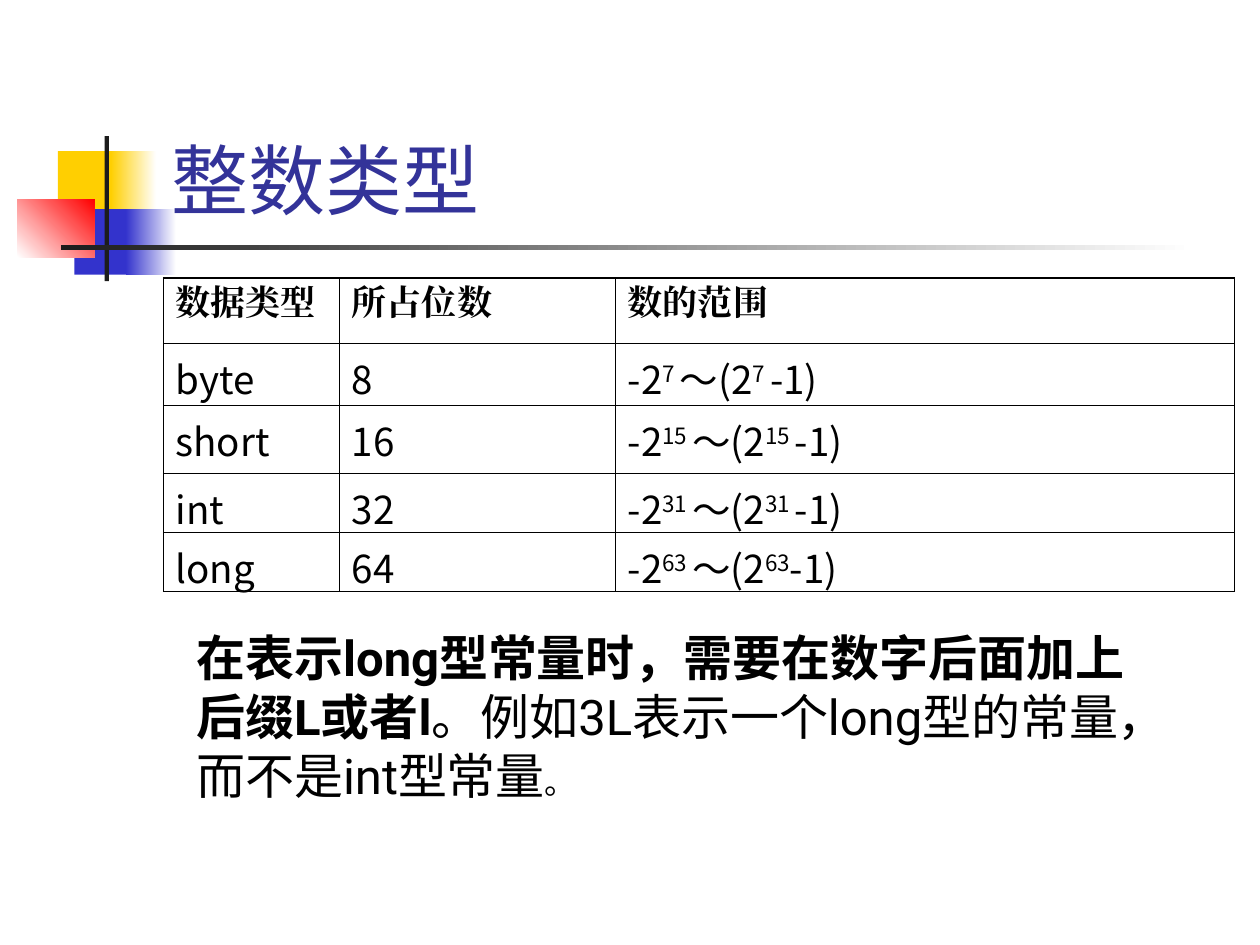
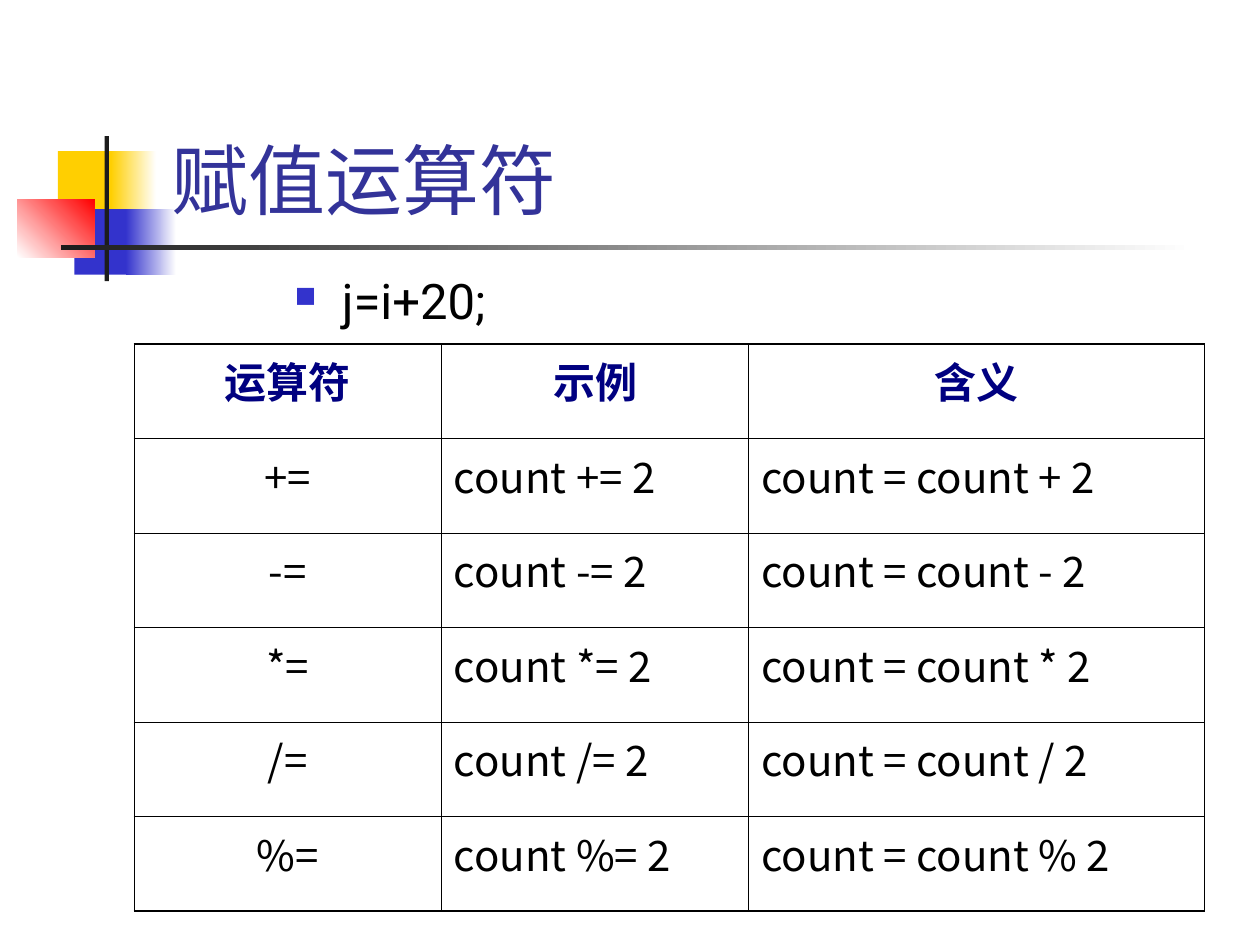
import pptx
import pptx.dml.color
import pptx.enum.shapes
import pptx.enum.text
import pptx.oxml
import pptx.oxml.ns
import pptx.util

Pt = pptx.util.Pt
ALIGN = pptx.enum.text.PP_ALIGN
ANCHOR = pptx.enum.text.MSO_ANCHOR

COLORS = {
    "text": "000000",
    "title": "333399",
    "header": "000080",
    "yellow": "FFCF01",
    "blue": "3333CC",
    "red": "FF0000",
    "dark": "1C1C1C",
    "white": "FFFFFF",
}
BODY_FONT = "Roboto"
HEADER_FONT = "Times New Roman"
CELL_FONT = "Noto Sans CJK SC"
HANG = 27
EDGE_SIDE, EDGE_TOP, INNER = 0.34, 0.96, 0.45


def rgb(name):
    return pptx.dml.color.RGBColor.from_string(COLORS[name])


def xml(tag, content="", **attrs):
    pairs = " ".join(f'{k}="{v}"' for k, v in attrs.items())
    ns = pptx.oxml.ns.nsdecls("a")
    return pptx.oxml.parse_xml(f"<a:{tag} {ns} {pairs}>{content}</a:{tag}>")


class Deck:
    def __init__(self):
        self.prs = pptx.Presentation()
        self.prs.slide_width, self.prs.slide_height = Pt(720), Pt(540)
        self.s = None

    def slide(self, title):
        self.s = self.prs.slides.add_slide(self.prs.slide_layouts[6])
        self.rect(33.1, 86.4, 34.6, 37.4, "yellow")
        self.rect(63.4, 86.4, 25.9, 37.4, "yellow", "white")
        self.rect(42.5, 119.5, 33.1, 37.4, "blue")
        self.rect(72, 119.5, 28.8, 37.4, "blue", "white")
        self.rect(10, 113.8, 44, 33.1, "white", "red", 45)
        self.rect(59.8, 77.8, 2.4, 82.8, "dark")
        self.rect(34.6, 140.2, 648, 2.4, "dark", "white")
        self.text(90.7, 16.6, 613.4, 115.2, [(title, 44, False)], "title", ANCHOR.BOTTOM)

    def rect(self, x, y, w, h, start, end=None, angle=0):
        kind = pptx.enum.shapes.MSO_SHAPE.RECTANGLE
        sp = self.s.shapes.add_shape(kind, Pt(x), Pt(y), Pt(w), Pt(h))
        sp.shadow.inherit = False
        sp.line.fill.background()
        if end is None:
            sp.fill.solid()
            sp.fill.fore_color.rgb = rgb(start)
            return
        sp.fill.gradient()
        sp.fill.gradient_angle = angle
        for stop, position, color in zip(sp.fill.gradient_stops, (0, 1), (start, end)):
            stop.position = position
            stop.color.rgb = rgb(color)

    def font(self, r, name, size, color, bold=False):
        r.font.name, r.font.size, r.font.bold = name, Pt(size), bold
        r.font.color.rgb = rgb(color)
        r.font._rPr.find(pptx.oxml.ns.qn("a:latin")).addnext(xml("ea", typeface=name))

    def hang(self, p):
        pPr = p._p.get_or_add_pPr()
        pPr.set("marL", str(Pt(HANG)))
        pPr.set("indent", str(-Pt(HANG)))
        return pPr

    def text(self, x, y, w, h, runs, color="text", anchor=ANCHOR.TOP, before=0):
        tf = self.s.shapes.add_textbox(Pt(x), Pt(y), Pt(w), Pt(h)).text_frame
        tf.word_wrap = True
        tf.vertical_anchor = anchor
        p = tf.paragraphs[0]
        p.space_before = Pt(before)
        for content, size, bold in runs:
            r = p.add_run()
            r.text = content
            self.font(r, BODY_FONT, size, color, bold)
        return p

    def bullet(self, x, y, w, h, content):
        p = self.text(x, y, w, h, [(content, 28, False)], before=7)
        pPr = self.hang(p)
        pPr.append(xml("buClr", f'<a:srgbClr val="{COLORS["blue"]}"/>'))
        pPr.append(xml("buSzPct", val=60000))
        pPr.append(xml("buChar", char="■"))

    def borders(self, cell, left, right, top, bottom):
        tcPr = cell._tc.get_or_add_tcPr()
        line = f'<a:solidFill><a:srgbClr val="{COLORS["text"]}"/></a:solidFill>'
        widths = {"lnL": left, "lnR": right, "lnT": top, "lnB": bottom}
        for i, (tag, width) in enumerate(widths.items()):
            tcPr.insert(i, xml(tag, line, w=int(Pt(width))))

    def cell(self, cell, content, size, name, color, bold, align):
        cell.fill.background()
        p = cell.text_frame.paragraphs[0]
        p.alignment = align
        self.hang(p)
        for i, part in enumerate(content.split("^")):
            r = p.add_run()
            r.text = part
            self.font(r, name, size, color, bold)
            if i % 2:
                r.font._rPr.set("baseline", "30000")

    def table(self, x, y, widths, heights, rows, header, size, centered=()):
        n, m = len(rows), len(widths)
        frame = self.s.shapes.add_table(n, m, Pt(x), Pt(y), Pt(sum(widths)), Pt(sum(heights)))
        tbl = frame.table
        tbl.first_row = tbl.horz_banding = False
        for col, width in zip(tbl.columns, widths):
            col.width = Pt(width)
        for row, height in zip(tbl.rows, heights):
            row.height = Pt(height)
        for i, row in enumerate(rows):
            for j, content in enumerate(row):
                cell = tbl.cell(i, j)
                style = header if i == 0 else (size, CELL_FONT, "text", False)
                center = j in centered or (i == 0 and centered)
                self.cell(cell, content, *style, ALIGN.CENTER if center else ALIGN.LEFT)
                self.borders(
                    cell,
                    EDGE_SIDE if j == 0 else INNER,
                    EDGE_SIDE if j == m - 1 else INNER,
                    EDGE_TOP if i == 0 else INNER,
                    EDGE_TOP if i == n - 1 else INNER,
                )


def integer_types(deck):
    deck.slide("整数类型")
    rows = [("数据类型", "所占位数", "数的范围")]
    for name, bits in (("byte", 8), ("short", 16), ("int", 32), ("long", 64)):
        power = bits - 1
        gap = "" if name == "long" else " "
        rows.append((name, str(bits), f"-2^{power} ^～(2^{power}{gap}^-1)"))
    deck.table(93.2, 159, (100.7, 157.7, 353.7), (37.4, 35.3, 38.9, 33.8, 33.8), rows,
               (20, HEADER_FONT, "text", True), 22)
    p = deck.text(105.1, 355, 555.8, 108, [
        ("在表示long型常量时，需要在数字后面加上后缀L或者l", 28, True),
        ("。例如3L表示一个long型的常量，而不是int型常量", 28, False),
        ("。", 18, False),
    ], before=11.2)


def assignment_operators(deck):
    deck.slide("赋值运算符")
    deck.bullet(161.3, 151.2, 291.6, 46.8, "j=i+20;")
    rows = [("运算符", "示例", "含义")]
    rows += [(f"{op}=", f"count {op}= 2", f"count = count {op} 2") for op in "+-*/%"]
    deck.table(76.5, 196.5, (175.7, 175.7, 260), [54] * len(rows), rows,
               (24, CELL_FONT, "header", True), 24, centered=(0,))


def main():
    deck = Deck()
    integer_types(deck)
    assignment_operators(deck)
    deck.prs.save("out.pptx")


if __name__ == "__main__":
    main()
